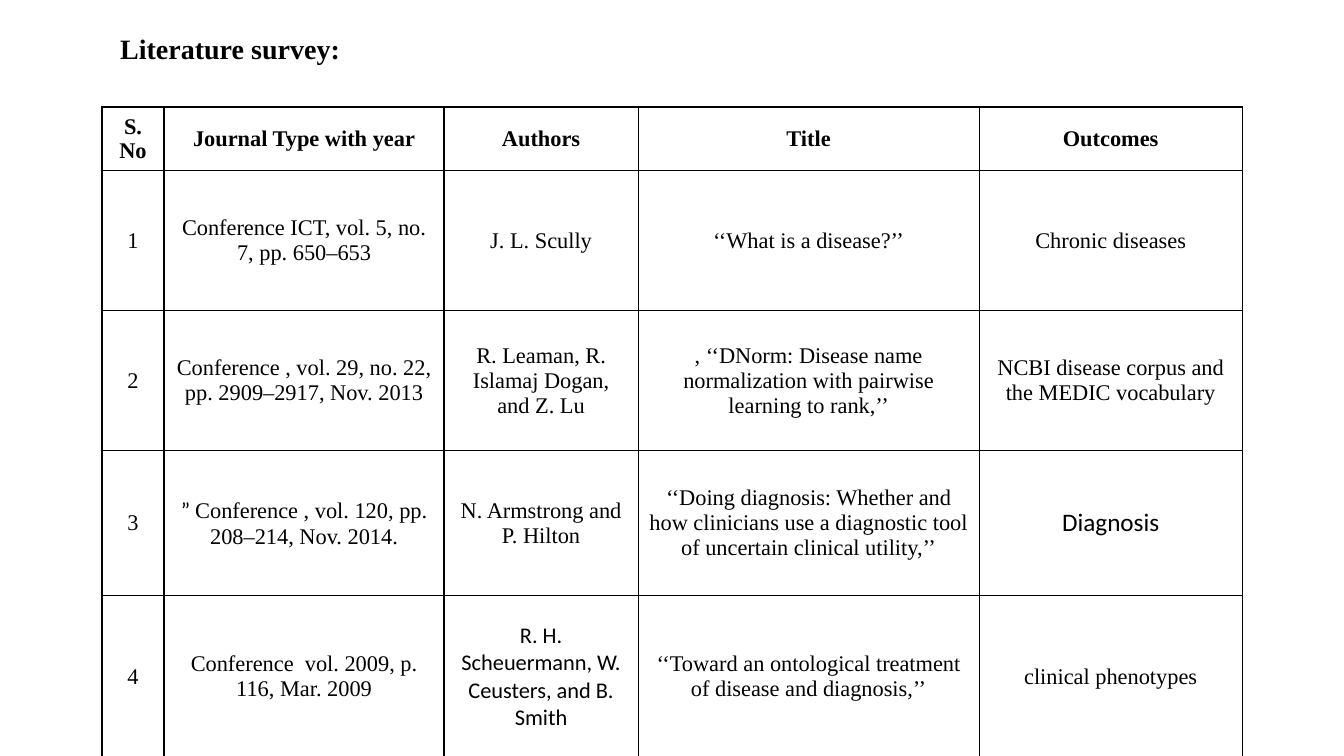
import pptx
import pptx.util
import pptx.dml.color
import pptx.enum.text
import pptx.oxml
import pptx.oxml.ns

PX = 914400 / 100.8
THEME = {
    "ink": "000000", "paper": "FFFFFF",
    "serif": "Times New Roman", "sans": "Calibri",
    "title": 20, "body": 16, "large": 18,
    "rule": 1,
}
ROWS = [
    ["S. No", "Journal Type with year", "Authors", "Title", "Outcomes"],
    ["1", "Conference ICT, vol. 5, no. 7, pp. 650–653", "J. L. Scully",
     "‘‘What is a disease?’’", "Chronic diseases"],
    ["2", "Conference , vol. 29, no. 22, pp. 2909–2917, Nov. 2013",
     "R. Leaman, R. Islamaj Dogan, and Z. Lu",
     ", ‘‘DNorm: Disease name normalization with pairwise learning to rank,’’",
     "NCBI disease corpus and the MEDIC vocabulary"],
    ["3", "Conference , vol. 120, pp. 208–214, Nov. 2014.",
     "N. Armstrong and P. Hilton",
     "‘‘Doing diagnosis: Whether and how clinicians use a diagnostic tool "
     "of uncertain clinical utility,’’", "Diagnosis"],
    ["4", "Conference  vol. 2009, p. 116, Mar. 2009",
     "R. H. Scheuermann, W. Ceusters, and B. Smith",
     "‘‘Toward an ontological treatment of disease and diagnosis,’’",
     "clinical phenotypes"],
]
WIDTHS = [62, 280, 194, 341, 263]
HEIGHTS = [59, 140, 140, 145, 162]
# Cells set in the sans face, with their sizes
SANS = {(3, 4): THEME["large"], (4, 2): THEME["body"]}
# Sans text that opens a serif cell
LEAD = {(3, 1): "” "}


def px(n):
    return pptx.util.Emu(round(n * PX))


def style(font, size, face, bold=False):
    font.size = pptx.util.Pt(size)
    font.name = face
    font.bold = bold
    font.color.rgb = pptx.dml.color.RGBColor.from_string(THEME["ink"])


deck = pptx.Presentation()
deck.slide_width = pptx.util.Inches(13.33)
deck.slide_height = pptx.util.Inches(7.5)
slide = deck.slides.add_slide(deck.slide_layouts[5])

# Title
title = slide.shapes.title
title.left, title.top, title.width, title.height = map(px, (110, 26, 242, 44))
frame = title.text_frame
frame.text = "Literature survey:"
frame.word_wrap = False
frame.auto_size = pptx.enum.text.MSO_AUTO_SIZE.SHAPE_TO_FIT_TEXT
frame.paragraphs[0].alignment = pptx.enum.text.PP_ALIGN.LEFT
style(frame.paragraphs[0].font, THEME["title"], THEME["serif"], True)

# Table grid
table = slide.shapes.add_table(
    len(ROWS), len(WIDTHS), px(102), px(107),
    px(sum(WIDTHS)), px(sum(HEIGHTS))).table
table.first_row = table.horz_banding = False
for col, width in zip(table.columns, WIDTHS):
    col.width = px(width)
for row, height in zip(table.rows, HEIGHTS):
    row.height = px(height)

# Cells
for r, row in enumerate(ROWS):
    for c, text in enumerate(row):
        cell = table.cell(r, c)
        cell.vertical_anchor = pptx.enum.text.MSO_ANCHOR.MIDDLE
        para = cell.text_frame.paragraphs[0]
        para.alignment = pptx.enum.text.PP_ALIGN.CENTER
        face = THEME["sans"] if (r, c) in SANS else THEME["serif"]
        size = SANS.get((r, c), THEME["body"])
        style(para.font, size, face, r == 0)
        if (r, c) in LEAD:
            run = para.add_run()
            run.text = LEAD[r, c]
            style(run.font, size, THEME["sans"])
        run = para.add_run()
        run.text = text
        style(run.font, size, face, r == 0)

        # Borders come before the fill in the cell's XML
        props = cell._tc.get_or_add_tcPr()
        for side in "LRTB":
            props.append(pptx.oxml.parse_xml(
                f'<a:ln{side} {pptx.oxml.ns.nsdecls("a")} '
                f'w="{pptx.util.Pt(THEME["rule"])}"><a:solidFill>'
                f'<a:srgbClr val="{THEME["ink"]}"/></a:solidFill></a:ln{side}>'))
        cell.fill.solid()
        cell.fill.fore_color.rgb = pptx.dml.color.RGBColor.from_string(
            THEME["paper"])

deck.save("out.pptx")
